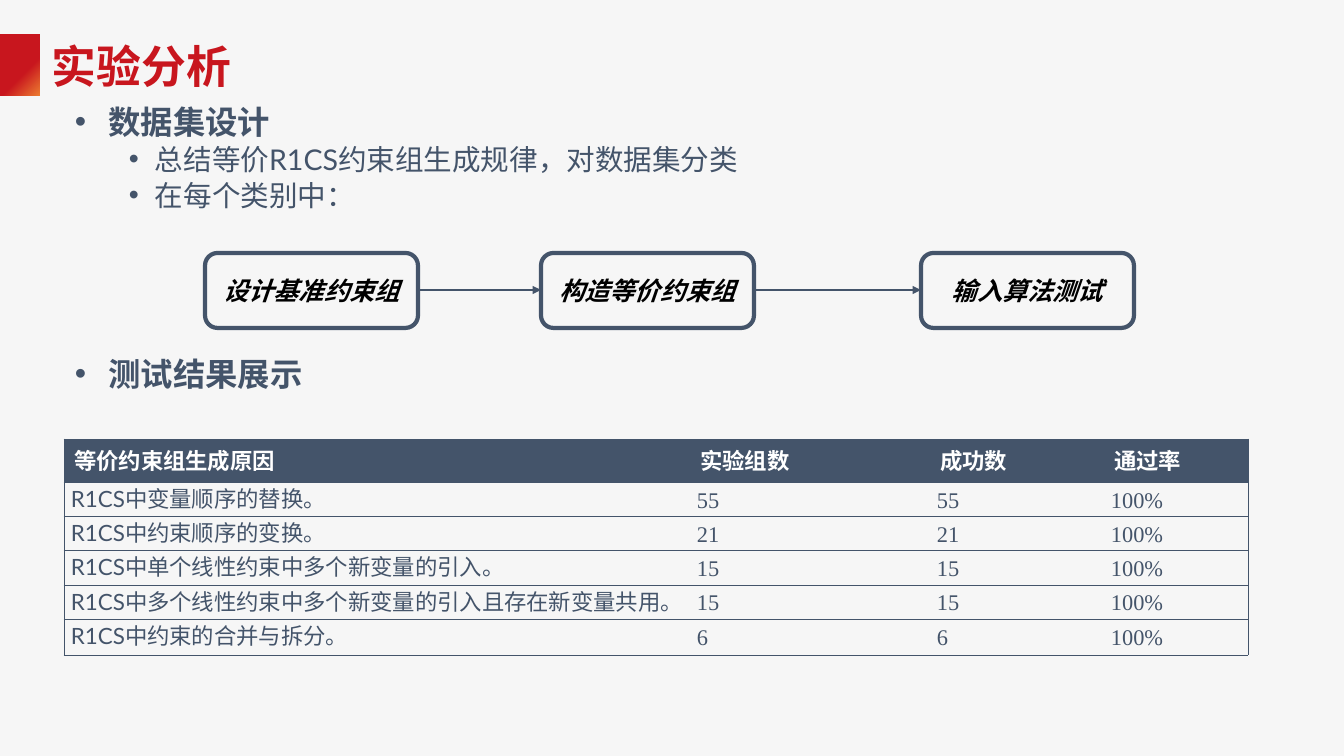
import pptx
import pptx.dml.color
import pptx.enum.shapes
import pptx.enum.text
import pptx.oxml
import pptx.oxml.ns
import pptx.util

PX = 914400 / 100.8  # EMU in one px
COLORS = {
    "back": "F6F6F6",
    "red": "C8161E",
    "orange": "ED7D31",
    "slate": "44546A",
    "white": "FFFFFF",
    "black": "000000",
}
SHAPE = pptx.enum.shapes.MSO_SHAPE
MIDDLE = pptx.enum.text.MSO_ANCHOR.MIDDLE
ALIGN = pptx.enum.text.PP_ALIGN
qn = pptx.oxml.ns.qn

TITLE = {"name": "Lato", "size": 32, "bold": True, "color": "red"}
STEP = {"name": "Karla", "size": 18, "bold": True, "italic": True, "color": "black"}
HEAD = {"name": "Lato", "size": 16, "bold": True, "color": "white"}
REASON = {"name": "Lato", "size": 16, "bold": False, "color": "slate"}
NUMBER = {**REASON, "name": "Times New Roman"}
# Bullet levels: font, left margin in px, space before in points
LEVELS = [
    ({"name": "Lato", "size": 23.1, "bold": True, "color": "slate"}, 26, 10.6),
    ({"name": "Lato", "size": 20.4, "bold": False, "color": "slate"}, 80, 5.3),
]

STEPS = [(205, "设计基准约束组"), (541, "构造等价约束组"), (921, "输入算法测试")]
STEP_TOP, STEP_W, STEP_H = 253, 213, 75

COLUMNS = [626, 240, 174, 144]
ROWS = [43, 34, 34, 35, 34, 36]
RESULTS = [
    ["等价约束组生成原因", "实验组数", "成功数", "通过率"],
    ["R1CS中变量顺序的替换。", "55", "55", "100%"],
    ["R1CS中约束顺序的变换。", "21", "21", "100%"],
    ["R1CS中单个线性约束中多个新变量的引入。", "15", "15", "100%"],
    ["R1CS中多个线性约束中多个新变量的引入且存在新变量共用。", "15", "15", "100%"],
    ["R1CS中约束的合并与拆分。", "6", "6", "100%"],
]


def px(n):
    return pptx.util.Emu(round(n * PX))


def rgb(name):
    return pptx.dml.color.RGBColor.from_string(COLORS[name])


def set_all(obj, values):
    for key, value in values.items():
        setattr(obj, key, value)


def add_run(p, text, fmt):
    r = p.add_run()
    r.text = text
    for key, value in fmt.items():
        if key == "color":
            r.font.color.rgb = rgb(value)
        else:
            setattr(r.font, key, pptx.util.Pt(value) if key == "size" else value)


def set_line(line, color, width):
    line.color.rgb = rgb(color)
    line.width = pptx.util.Pt(width)


def add_textbox(s, x, y, w, h):
    tf = s.shapes.add_textbox(px(x), px(y), px(w), px(h)).text_frame
    tf.word_wrap = True
    return tf


def add_title(s, text):
    tf = add_textbox(s, 42, 29, 986, 73)
    tf.vertical_anchor = MIDDLE
    add_run(tf.paragraphs[0], text, TITLE)


def add_accent(s):
    sp = s.shapes.add_shape(SHAPE.RECTANGLE, 0, px(34), px(40), px(62))
    sp.shadow.inherit = False
    sp.line.fill.background()
    sp.fill.gradient()
    sp.fill.gradient_angle = 315
    stops = [(0.62, "red"), (1, "orange")]
    for stop, (position, color) in zip(sp.fill.gradient_stops, stops):
        stop.position = position
        stop.color.rgb = rgb(color)


def add_bullets(s, y, h, items):
    tf = add_textbox(s, 65, y, 1200, h)
    for i, (level, text) in enumerate(items):
        fmt, margin, before = LEVELS[level]
        p = tf.add_paragraph() if i else tf.paragraphs[0]
        set_all(p, {"level": level, "line_spacing": 0.82,
                    "space_before": pptx.util.Pt(before if i else 0)})
        pPr = p._p.get_or_add_pPr()
        pPr.set("marL", str(px(margin)))
        pPr.set("indent", str(px(-26)))
        for tag, key, value in [("a:buFont", "typeface", "Arial"), ("a:buChar", "char", "•")]:
            bullet = pptx.oxml.ns.qn(tag)
            pPr.append(pPr.makeelement(bullet, {key: value}))
        add_run(p, text, fmt)


def add_step(s, x, text):
    sp = s.shapes.add_shape(SHAPE.ROUNDED_RECTANGLE, px(x), px(STEP_TOP), px(STEP_W), px(STEP_H))
    sp.shadow.inherit = False
    sp.fill.solid()
    sp.fill.fore_color.rgb = rgb("back")
    set_line(sp.line, "slate", 3)
    sp.text_frame.vertical_anchor = MIDDLE
    p = sp.text_frame.paragraphs[0]
    p.alignment = ALIGN.CENTER
    add_run(p, text, STEP)
    return sp


def add_arrow(s, start, end):
    y = px(STEP_TOP + STEP_H // 2)
    line = s.shapes.add_connector(pptx.enum.shapes.MSO_CONNECTOR.STRAIGHT,
                                  start.left + start.width, y, end.left, y)
    set_line(line.line, "slate", 2)
    ln = line.line._get_or_add_ln()
    ln.append(ln.makeelement(qn("a:tailEnd"), {"type": "triangle"}))
    spPr = line._element.spPr
    spPr.append(spPr.makeelement(qn("a:effectLst"), {}))


def set_borders(cell, sides):
    # Borders come before the fill in the cell properties
    tcPr = cell._tc.get_or_add_tcPr()
    for i, side in enumerate(["L", "R", "T", "B"]):
        paint = (f'<a:solidFill><a:srgbClr val="{COLORS["slate"]}"/></a:solidFill>'
                 if side in sides else "<a:noFill/>")
        tcPr.insert(i, pptx.oxml.parse_xml(
            f'<a:ln{side} {pptx.oxml.ns.nsdecls("a")} w="6350">{paint}</a:ln{side}>'))


def fill_cell(cell, text, row, col):
    p = cell.text_frame.paragraphs[0]
    if row == 0:
        cell.fill.solid()
        cell.fill.fore_color.rgb = rgb("slate")
        fmt = HEAD
    else:
        cell.fill.background()
        set_all(cell, {"margin_left": px(7), "margin_right": px(7),
                       "margin_top": 0, "margin_bottom": 0})
        fmt = NUMBER if col else REASON
        if col:
            cell.vertical_anchor = MIDDLE
            set_all(p, {"alignment": ALIGN.JUSTIFY, "line_spacing": pptx.util.Pt(20)})
    add_run(p, text, fmt)
    set_borders(cell, "TB" + "L" * (col == 0) + "R" * (col == len(COLUMNS) - 1))


def add_results(s):
    table = s.shapes.add_table(len(ROWS), len(COLUMNS), px(64), px(439),
                               px(sum(COLUMNS)), px(sum(ROWS))).table
    table.horz_banding = False
    for column, width in zip(table.columns, COLUMNS):
        column.width = px(width)
    for i, (height, texts) in enumerate(zip(ROWS, RESULTS)):
        table.rows[i].height = px(height)
        for j, text in enumerate(texts):
            fill_cell(table.cell(i, j), text, i, j)


def main():
    prs = pptx.Presentation()
    set_all(prs, {"slide_width": px(1344), "slide_height": px(756)})
    s = prs.slides.add_slide(prs.slide_layouts[6])
    s.background.fill.solid()
    s.background.fill.fore_color.rgb = rgb("back")

    # Heading
    add_accent(s)
    add_title(s, "实验分析")

    # Data set design
    add_bullets(s, 104, 140, [
        (0, " 数据集设计"),
        (1, "总结等价R1CS约束组生成规律，对数据集分类"),
        (1, "在每个类别中："),
    ])

    # Test flow
    steps = [add_step(s, x, text) for x, text in STEPS]
    for start, end in zip(steps, steps[1:]):
        add_arrow(s, start, end)

    # Test results
    add_bullets(s, 356, 50, [(0, " 测试结果展示")])
    add_results(s)

    prs.save("out.pptx")


if __name__ == "__main__":
    main()
